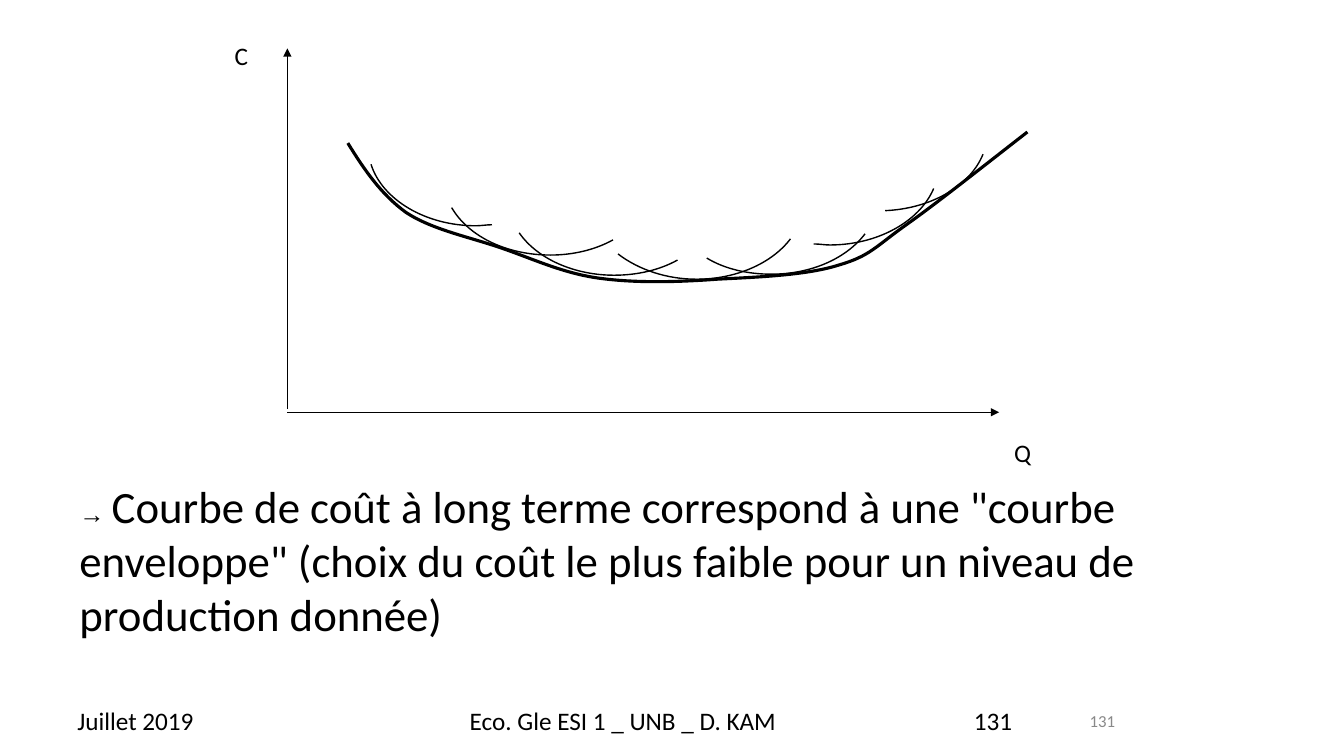
"""Build the slide on the long-run cost curve as an envelope of short-run curves."""
from copy import deepcopy
from dataclasses import dataclass

from lxml import etree
from pptx import Presentation
from pptx.dml.color import RGBColor
from pptx.enum.shapes import MSO_CONNECTOR
from pptx.enum.text import MSO_ANCHOR, PP_ALIGN
from pptx.oxml.ns import qn
from pptx.util import Inches, Pt

STRAIGHT = MSO_CONNECTOR.STRAIGHT
TOP, MIDDLE = MSO_ANCHOR.TOP, MSO_ANCHOR.MIDDLE
LEFT, RIGHT = PP_ALIGN.LEFT, PP_ALIGN.RIGHT


@dataclass(frozen=True)
class Theme:
    ink: RGBColor = RGBColor(0, 0, 0)
    muted: RGBColor = RGBColor(0x89, 0x89, 0x89)
    font: str = "Calibri"
    arrow_font: str = "Arial"
    statement: int = 32
    label: int = 18
    number: int = 12
    thin: float = 1
    thick: float = 2.25


THEME = Theme()
WIDTH, HEIGHT = 13.33, 7.5
FOOTER_TOP, FOOTER_HEIGHT = 6.95, 0.39
UNITS_PER_INCH = 100

STATEMENT = [
    ("→ ", THEME.arrow_font, THEME.label),
    ("Courbe de coût à long terme correspond à une \"courbe enveloppe\" "
     "(choix du coût le plus faible pour un niveau de production donnée)",
     THEME.font, THEME.statement),
]
AXIS_LABELS = [("C", (2.23, 0.35, 0.54, 0.4)), ("Q", (9.96, 4.29, 0.78, 0.4))]
FOOTERS = [("Juillet 2019", 0.67, 3.1), ("131", 9.56, 3.1),
           ("Eco. Gle ESI 1 _ UNB _ D. KAM", 4.56, 4.22)]
AXES = [((2.85, 4.06), (2.85, 0.48)), ((2.85, 4.09), (9.91, 4.09))]

SHORT_RUN_CURVES = [
    ((5.46, 1.74), [(6.08, 2.38), (5.9, 2.48), (5.68, 2.53), (5.46, 2.53),
                    (5.03, 2.53), (4.65, 2.35), (4.48, 2.06)]),
    ((4.72, 1.44), [(4.88, 2.23), (4.83, 2.23), (4.77, 2.24), (4.72, 2.24),
                    (4.22, 2.24), (3.79, 1.98), (3.68, 1.63)]),
    ((6.09, 1.94), [(6.72, 2.58), (6.54, 2.68), (6.32, 2.73), (6.09, 2.73),
                    (5.7, 2.73), (5.33, 2.57), (5.15, 2.31)]),
    ((6.91, 1.98), [(7.84, 2.37), (7.65, 2.62), (7.29, 2.77), (6.91, 2.77),
                    (6.62, 2.77), (6.34, 2.68), (6.13, 2.52)]),
    ((7.65, 1.93), [(8.58, 2.32), (8.39, 2.57), (8.04, 2.72), (7.65, 2.72),
                    (7.42, 2.72), (7.19, 2.67), (7.01, 2.56)]),
    ((8.23, 1.64), [(9.26, 1.87), (9.12, 2.2), (8.7, 2.43), (8.23, 2.43),
                    (8.18, 2.43), (8.13, 2.42), (8.07, 2.42)]),
    ((8.73, 1.29), [(9.75, 1.53), (9.62, 1.85), (9.23, 2.07), (8.78, 2.09)]),
]
LONG_RUN_CURVE = [
    (3.45, 1.42), (3.61, 1.68), (3.78, 1.93), (4.03, 2.11),
    (4.29, 2.28), (4.65, 2.35), (4.97, 2.46),
    (5.29, 2.57), (5.58, 2.71), (5.94, 2.76),
    (6.3, 2.81), (6.72, 2.8), (7.12, 2.77),
    (7.52, 2.75), (8.01, 2.73), (8.32, 2.63),
    (8.63, 2.54), (8.68, 2.45), (8.99, 2.23),
    (9.3, 2.01), (9.74, 1.66), (10.19, 1.31),
]


def add_text(shapes, runs, area, anchor=TOP, align=LEFT, color=THEME.ink):
    box = shapes.add_textbox(*(Inches(length) for length in area))
    frame = box.text_frame
    frame.word_wrap = True
    frame.vertical_anchor = anchor
    para = frame.paragraphs[0]
    para.alignment = align
    for text, font, size in runs:
        span = para.add_run()
        span.text = text
        span.font.name = font
        span.font.size = Pt(size)
        span.font.color.rgb = color


def bend(outline, control_count):
    """Turn each three straight segments of the outline into one cubic curve."""
    segments = list(outline)[1:control_count]
    for first in range(0, len(segments), 3):
        cubic = etree.Element(qn("a:cubicBezTo"))
        segments[first].addprevious(cubic)
        for segment in segments[first:first + 3]:
            cubic.append(segment[0])
            outline.remove(segment)


def add_curve(shapes, controls, width, center=None):
    points = controls + ([center] if center else [])
    start, *rest = [tuple(round(length * UNITS_PER_INCH) for length in point) for point in points]
    builder = shapes.build_freeform(*start, scale=Inches(1) / UNITS_PER_INCH)
    builder.add_line_segments(rest, close=bool(center))
    curve = builder.convert_to_shape()
    curve.shadow.inherit = False
    curve.fill.background()
    curve.line.color.rgb = THEME.ink
    curve.line.width = Pt(width)

    outline = next(curve._element.iter(qn("a:path")))
    bend(outline, len(controls))
    if center:
        sector = deepcopy(outline)
        sector.set("stroke", "0")
        outline.addnext(sector)
        for element in list(outline)[-2:]:
            outline.remove(element)
    outline.set("fill", "none")


def add_axis(shapes, start, end):
    axis = shapes.add_connector(STRAIGHT, *(Inches(length) for length in start + end))
    axis.line.color.rgb = THEME.ink
    axis.line.width = Pt(THEME.thin)
    etree.SubElement(axis.line._get_or_add_ln(), qn("a:tailEnd"), type="triangle")
    etree.SubElement(axis._element.spPr, qn("a:effectLst"))


def main():
    deck = Presentation()
    deck.slide_width, deck.slide_height = Inches(WIDTH), Inches(HEIGHT)
    page = deck.slides.add_slide(deck.slide_layouts[6])
    add_text(page.shapes, [("131", THEME.font, THEME.number)],
             (8.83, FOOTER_TOP, 2.33, 0.4), MIDDLE, RIGHT, THEME.muted)
    add_text(page.shapes, STATEMENT, (0.69, 4.7, 11.76, 1.72))

    diagram = page.shapes.add_group_shape().shapes
    for center, controls in SHORT_RUN_CURVES:
        add_curve(diagram, controls, THEME.thin, center)
    for start, end in AXES:
        add_axis(diagram, start, end)
    add_curve(diagram, LONG_RUN_CURVE, THEME.thick)
    for text, area in AXIS_LABELS:
        add_text(diagram, [(text, THEME.font, THEME.label)], area)

    for text, left, width in FOOTERS:
        add_text(page.shapes, [(text, THEME.font, THEME.label)],
                 (left, FOOTER_TOP, width, FOOTER_HEIGHT), MIDDLE)
    deck.save("out.pptx")


if __name__ == "__main__":
    main()
